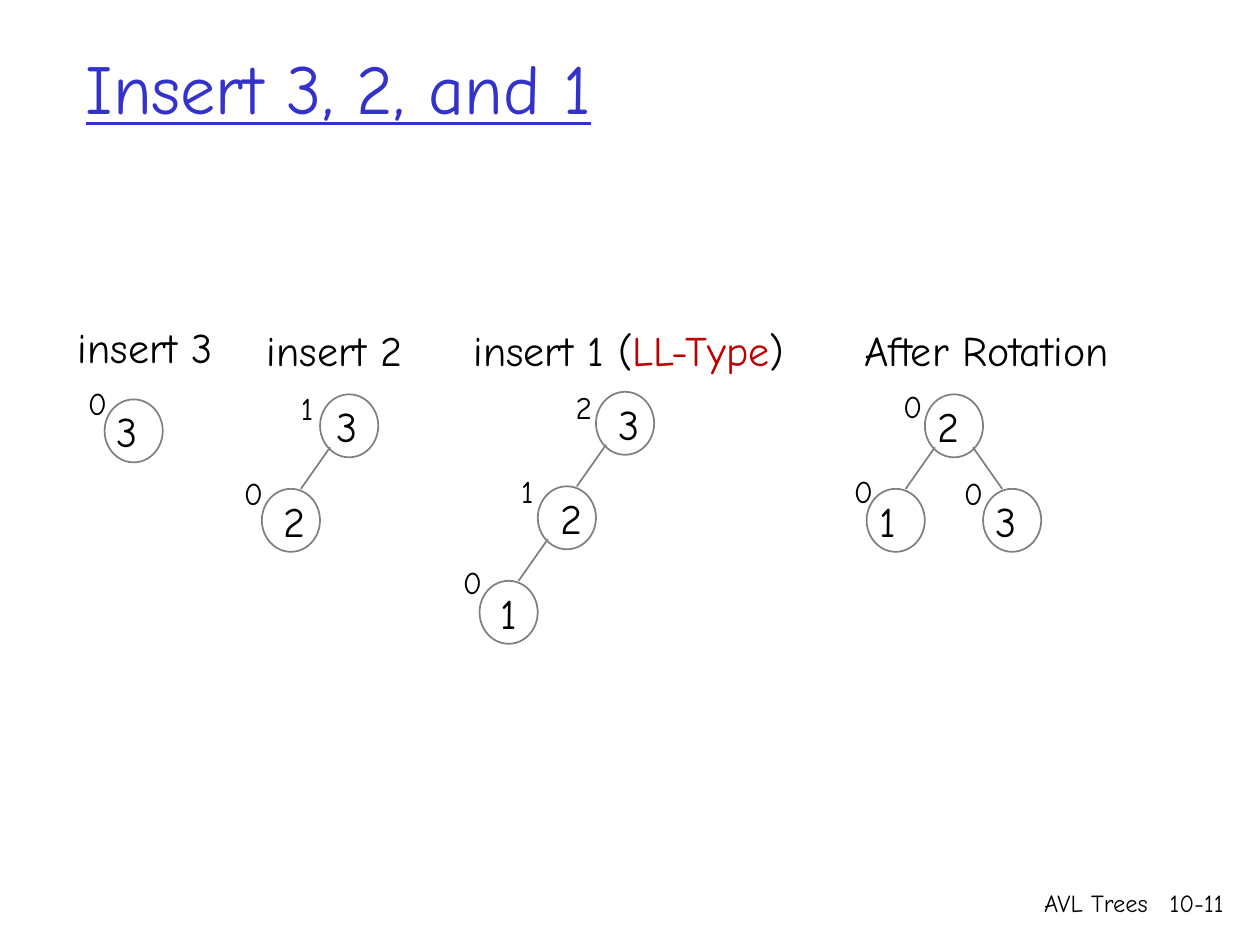
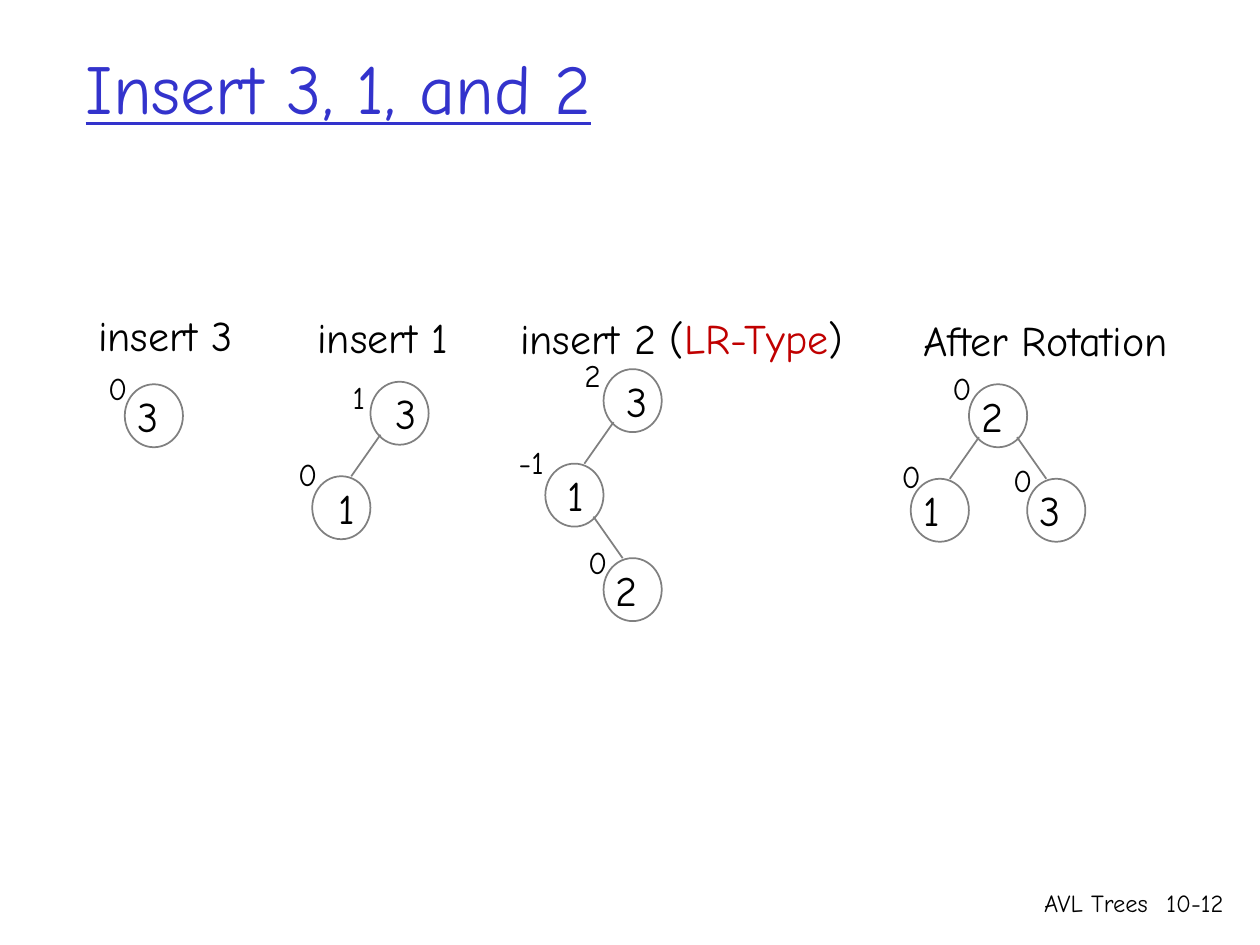
from dataclasses import dataclass
from typing import NamedTuple, Optional

from lxml.etree import SubElement
from pptx import Presentation
from pptx.dml.color import RGBColor
from pptx.enum.shapes import MSO_CONNECTOR as Connector, MSO_SHAPE as Preset
from pptx.enum.text import MSO_ANCHOR as Anchor, MSO_AUTO_SIZE as AutoSize, PP_ALIGN as Align
from pptx.oxml.ns import qn
from pptx.util import Inches, Length, Pt

# The slide is a grid of 100 columns by 75 rows; every length below counts cells.
SLIDE_WIDTH = Inches(10)
COLUMNS, ROWS = 100, 75
CELL = SLIDE_WIDTH / COLUMNS

FONT = "Comic Neue"
BLACK, TITLE_BLUE, OUTLINE_GRAY, TYPE_RED = "000000", "3333CC", "808080", "C00000"

TITLE_FONT = {"name": FONT, "size": Pt(40), "underline": True, "bold": False}
KEY_FONT = {"name": FONT, "size": Pt(24)}
BALANCE_FONT = {"name": FONT, "size": Pt(18)}
FOOTER_FONT = {"name": FONT, "size": Pt(14)}
TITLE_FRAME = {"vertical_anchor": Anchor.MIDDLE, "auto_size": AutoSize.NONE, "word_wrap": True}
KEY_FRAME = {"auto_size": AutoSize.SHAPE_TO_FIT_TEXT, "word_wrap": True}
LABEL_FRAME = {"auto_size": AutoSize.SHAPE_TO_FIT_TEXT, "word_wrap": False}
FOOTER_FRAME = {"auto_size": AutoSize.NONE, "word_wrap": True}

NODE_WIDTH, NODE_HEIGHT = 4.62, 5
LEVEL_STEP = 7.5
KEY_WIDTH = 3.8
EDGE_INSET, EDGE_DROP, EDGE_END = 0.8, 4.2, 3.1
BALANCE_WIDTHS = {"0": 3.6, "1": 3.2, "2": 3.6, "-1": 4.2}


class Box(NamedTuple):
    left: float
    top: float
    width: float
    height: float


class Run(NamedTuple):
    text: str
    color: str = BLACK


class Node(NamedTuple):
    """A tree node; side and level count node widths and levels from the root."""
    key: str
    balance: str
    balance_shift: tuple[float, float]
    key_shift: float = 0
    side: int = 0
    level: int = 0
    parent: Optional[int] = None


@dataclass(frozen=True)
class Tree:
    caption: list[Run]
    caption_box: Box
    root: tuple[float, float]
    nodes: list[Node]

    def corner(self, node: Node) -> tuple[float, float]:
        return self.root[0] + node.side * NODE_WIDTH, self.root[1] + node.level * LEVEL_STEP


@dataclass(frozen=True)
class Lesson:
    title: str
    page: str
    trees: list[Tree]


def caption(left: float, top: float, width: float) -> Box:
    return Box(left, top, width, 5.1)


def typed_insertion(key: str, rotation: str) -> list[Run]:
    return [Run(f"insert {key} ("), Run(rotation, TYPE_RED), Run(")")]


LESSONS = [
    Lesson("Insert 3, 2, and 1", "10-11", [
        Tree([Run("insert 3")], caption(5.2, 25, 14.4), (8.3, 31.7),
             [Node("3", "0", (-2.3, -1.7))]),
        Tree([Run("insert 2")], caption(20.2, 25.3, 14.4), (25.4, 31.3),
             [Node("3", "1", (-2.5, -0.9), 0.3),
              Node("2", "0", (-2.4, -1.7), 0.7, -1, 1, 0)]),
        Tree(typed_insertion("1", "LL-Type"), caption(36.6, 25.3, 30.2), (47.3, 31.1),
             [Node("3", "2", (-2.6, -0.8), 0.8),
              Node("2", "1", (-2.3, -1.6), 0.8, -1, 1, 0),
              Node("1", "0", (-2.3, -1.9), 0.7, -2, 2, 1)]),
        Tree([Run("After Rotation")], caption(67.6, 25.3, 25.5), (73.4, 31.3),
             [Node("2", "0", (-2.7, -1.1)),
              Node("3", "0", (-2.5, -1.7), 0, 1, 1, 0),
              Node("1", "0", (-2, -1.8), 0, -1, 1, 0)]),
    ]),
    Lesson("Insert 3, 1, and 2", "10-12", [
        Tree([Run("insert 3")], caption(6.8, 24.1, 14.4), (9.9, 30.5),
             [Node("3", "0", (-2.3, -1.7))]),
        Tree([Run("insert 1")], caption(24.2, 24.2, 13.9), (29.4, 30.3),
             [Node("3", "1", (-2.4, -0.8), 1),
              Node("1", "0", (-2.1, -2.2), 1.1, -1, 1, 0)]),
        Tree(typed_insertion("2", "LR-Type"), caption(40.3, 24.3, 31), (47.9, 29.3),
             [Node("3", "2", (-2.5, -1.5), 0.8),
              Node("1", "-1", (-3.1, -2.1), 0.8, -1, 1, 0),
              Node("2", "0", (-2.2, -1.7), 0, 0, 2, 1)]),
        Tree([Run("After Rotation")], caption(72.3, 24.5, 25.5), (76.9, 30.5),
             [Node("2", "0", (-2.3, -1.7)),
              Node("3", "0", (-2.1, -1.9), 0, 1, 1, 0),
              Node("1", "0", (-1.7, -2.2), 0, -1, 1, 0)]),
    ]),
]


def cells(count: float) -> Length:
    return Length(round(count * CELL))


def rgb(color: str) -> RGBColor:
    return RGBColor.from_string(color)


def apply(target, values: dict) -> None:
    for attribute, value in values.items():
        setattr(target, attribute, value)


def write(frame, runs: list[Run], font: dict, layout: dict, align: Align = Align.LEFT) -> None:
    apply(frame, layout)
    paragraph = frame.paragraphs[0]
    paragraph.alignment = align
    for part in runs:
        run = paragraph.add_run()
        run.text = part.text
        apply(run.font, font)
        run.font.color.rgb = rgb(part.color)


def add_text(shapes, box: Box, runs: list[Run], font: dict, layout: dict,
             align: Align = Align.LEFT) -> None:
    label = shapes.add_textbox(*map(cells, box))
    write(label.text_frame, runs, font, layout, align)


def outline(shape) -> None:
    shape.line.color.rgb = rgb(OUTLINE_GRAY)
    shape.line.width = Pt(1)


def draw_node(shapes, node: Node, left: float, top: float) -> None:
    circle = shapes.add_shape(Preset.OVAL, *map(cells, (left, top, NODE_WIDTH, NODE_HEIGHT)))
    circle.shadow.inherit = False
    circle.fill.background()
    outline(circle)
    add_text(shapes, Box(left + node.key_shift, top, KEY_WIDTH, NODE_HEIGHT),
             [Run(node.key)], KEY_FONT, KEY_FRAME)
    shift_x, shift_y = node.balance_shift
    add_text(shapes, Box(left + shift_x, top + shift_y, BALANCE_WIDTHS[node.balance], 4),
             [Run(node.balance)], BALANCE_FONT, LABEL_FRAME)


def draw_edge(shapes, tree: Tree, parent: Node, child: Node) -> None:
    parent_x, parent_y = tree.corner(parent)
    child_x, child_y = tree.corner(child)
    start, end = EDGE_INSET, EDGE_END
    if child.side > parent.side:
        start, end = NODE_WIDTH - start, NODE_WIDTH - end
    points = (parent_x + start, parent_y + EDGE_DROP, child_x + end, child_y)
    edge = shapes.add_connector(Connector.STRAIGHT, *map(cells, points))
    outline(edge)
    SubElement(edge._element.spPr, qn("a:effectLst"))


def draw_tree(slide, tree: Tree) -> None:
    shapes = slide.shapes.add_group_shape().shapes
    add_text(shapes, tree.caption_box, tree.caption, KEY_FONT, LABEL_FRAME)
    for node in tree.nodes:
        draw_node(shapes, node, *tree.corner(node))
        if node.parent is not None:
            draw_edge(shapes, tree, tree.nodes[node.parent], node)


def draw_footer(slide, page: str) -> None:
    for text, left, width in (("AVL Trees", 60.4, 31.7), (page, 90.8, 7.3)):
        add_text(slide.shapes, Box(left, 70, width, 5), [Run(text)],
                 FOOTER_FONT, FOOTER_FRAME, Align.RIGHT)


def draw_title(slide, text: str) -> None:
    title = slide.shapes.title
    apply(title, {"left": cells(5.8), "top": cells(2.5),
                  "width": cells(85), "height": cells(8.8)})
    write(title.text_frame, [Run(text, TITLE_BLUE)], TITLE_FONT, TITLE_FRAME)


def main() -> None:
    deck = Presentation()
    apply(deck, {"slide_width": SLIDE_WIDTH, "slide_height": cells(ROWS)})
    title_only = deck.slide_layouts.get_by_name("Title Only")
    for lesson in LESSONS:
        slide = deck.slides.add_slide(title_only)
        draw_footer(slide, lesson.page)
        draw_title(slide, lesson.title)
        for tree in lesson.trees:
            draw_tree(slide, tree)
    deck.save("out.pptx")


if __name__ == "__main__":
    main()
